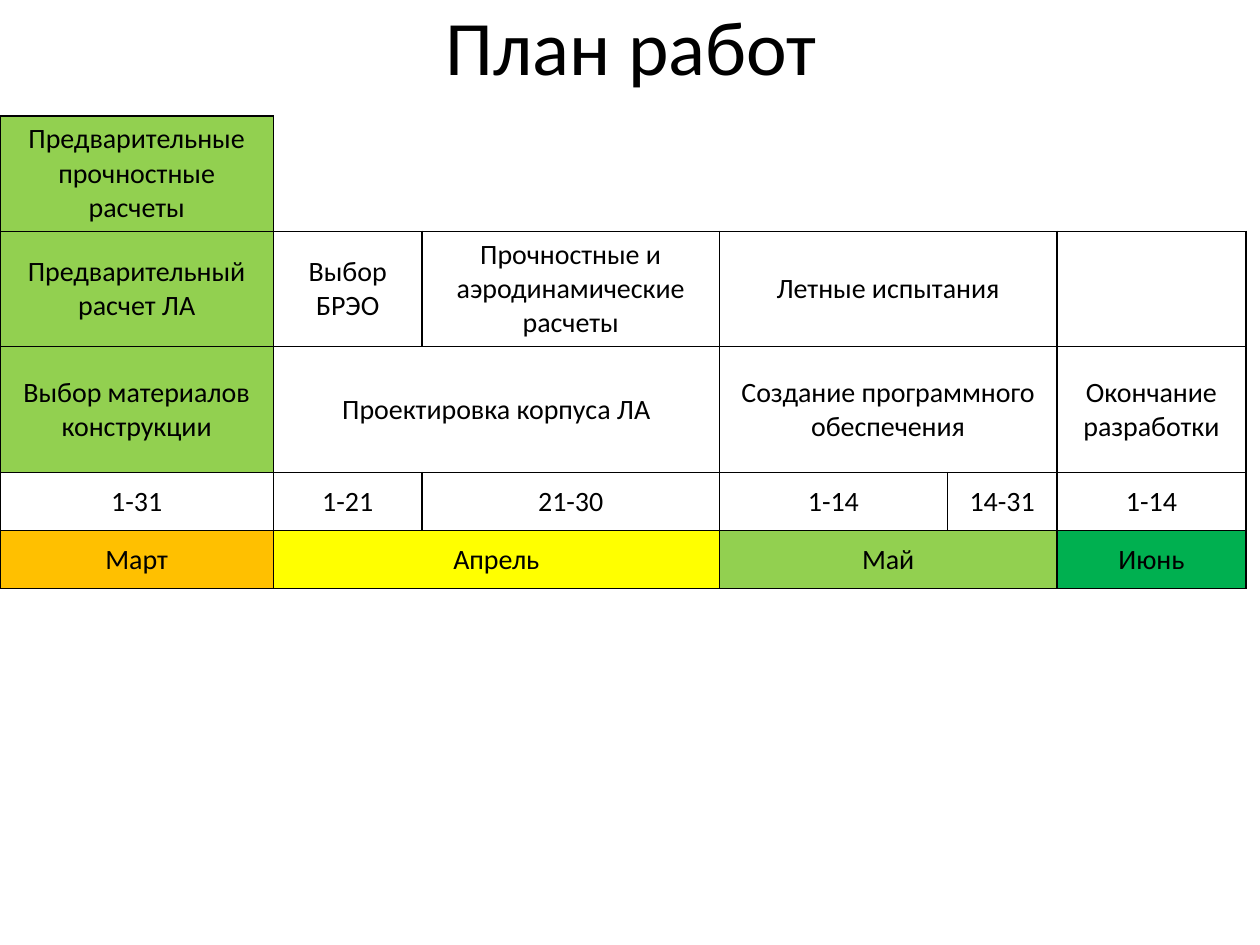
from dataclasses import dataclass
from typing import Optional

from lxml import etree
from pptx import Presentation
from pptx import util as u
from pptx.dml.color import RGBColor
from pptx.enum import text
from pptx.oxml import ns

BLACK = RGBColor(0x00, 0x00, 0x00)
LIME = RGBColor(0x92, 0xD0, 0x50)
AMBER = RGBColor(0xFF, 0xC0, 0x00)
YELLOW = RGBColor(0xFF, 0xFF, 0x00)
GREEN = RGBColor(0x00, 0xB0, 0x50)

WIDTHS = [2.17, 1.18, 1.69, 0.67, 1.81, 0.62, 0.25, 1.5]
HEIGHTS = [0.46, 0.66, 1, 0.46, 0.46]
SIDES = "LRTB"


@dataclass
class Task:
    label: str = ""
    span: int = 1
    fill: Optional[RGBColor] = None
    edges: str = SIDES


PLAN = [
    [
        Task("Предварительные прочностные расчеты", fill=LIME),
        Task(edges="LB"),
        Task(edges="B"),
        Task(edges="B"),
        Task(span=2, edges="B"),
        Task(edges="B"),
        Task(edges="B"),
    ],
    [
        Task("Предварительный расчет ЛА", fill=LIME),
        Task("Выбор БРЭО"),
        Task("Прочностные и аэродинамические расчеты", 2),
        Task("Летные испытания", 3),
        Task(),
    ],
    [
        Task("Выбор материалов конструкции", fill=LIME),
        Task("Проектировка корпуса ЛА", 3),
        Task("Создание программного обеспечения", 3),
        Task("Окончание разработки"),
    ],
    [
        Task("1-31"),
        Task("1-21"),
        Task("21-30", 2),
        Task("1-14"),
        Task("14-31", 2),
        Task("1-14"),
    ],
    [
        Task("Март", fill=AMBER),
        Task("Апрель", 3, YELLOW),
        Task("Май", 3, LIME),
        Task("Июнь", fill=GREEN),
    ],
]


def write(frame, label: str, size: int) -> None:
    frame.text = label
    para = frame.paragraphs[0]
    para.alignment = text.PP_ALIGN.CENTER
    form = {"name": "Calibri", "size": u.Pt(size)}
    for font in [para.font] + [run.font for run in para.runs]:
        for key, value in form.items():
            setattr(font, key, value)
        font.color.rgb = BLACK


def border(cell, edges: str) -> None:
    props = cell._tc.get_or_add_tcPr()
    for side in SIDES:
        line = etree.SubElement(props, ns.qn(f"a:ln{side}"), w=str(u.Pt(1)))
        if side in edges:
            paint = etree.SubElement(line, ns.qn("a:solidFill"))
            etree.SubElement(paint, ns.qn("a:srgbClr"), val=str(BLACK))
        else:
            etree.SubElement(line, ns.qn("a:noFill"))


def draw_task(table, row: int, col: int, task: Task) -> None:
    for step in range(task.span):
        cell = table.cell(row, col + step)
        border(cell, task.edges)
        if task.fill is None:
            cell.fill.background()
        else:
            cell.fill.solid()
            cell.fill.fore_color.rgb = task.fill
    cell = table.cell(row, col)
    if task.span > 1:
        cell.merge(table.cell(row, col + task.span - 1))
    cell.vertical_anchor = text.MSO_ANCHOR.MIDDLE
    write(cell.text_frame, task.label, 16)


def draw_plan(slide) -> None:
    table = slide.shapes.add_table(
        len(HEIGHTS), len(WIDTHS), u.Inches(0), u.Inches(0.92),
        u.Inches(sum(WIDTHS)), u.Inches(sum(HEIGHTS)),
    ).table
    table.first_row = False
    table.horz_banding = False
    for col, width in zip(table.columns, WIDTHS):
        col.width = u.Inches(width)
    for row, height in zip(table.rows, HEIGHTS):
        row.height = u.Inches(height)
    for row, tasks in enumerate(PLAN):
        col = 0
        for task in tasks:
            draw_task(table, row, col, task)
            col += task.span


def draw_title(slide) -> None:
    title = slide.shapes.title
    place = {"left": 0.51, "top": -0.27, "width": 9, "height": 1.25}
    for key, value in place.items():
        setattr(title, key, u.Inches(value))
    title.text_frame.vertical_anchor = text.MSO_ANCHOR.MIDDLE
    write(title.text_frame, "План работ", 44)


def main() -> None:
    deck = Presentation()
    deck.slide_width = u.Inches(10)
    deck.slide_height = u.Inches(7.5)
    slide = deck.slides.add_slide(deck.slide_layouts[5])
    draw_title(slide)
    draw_plan(slide)
    deck.save("out.pptx")


if __name__ == "__main__":
    main()
